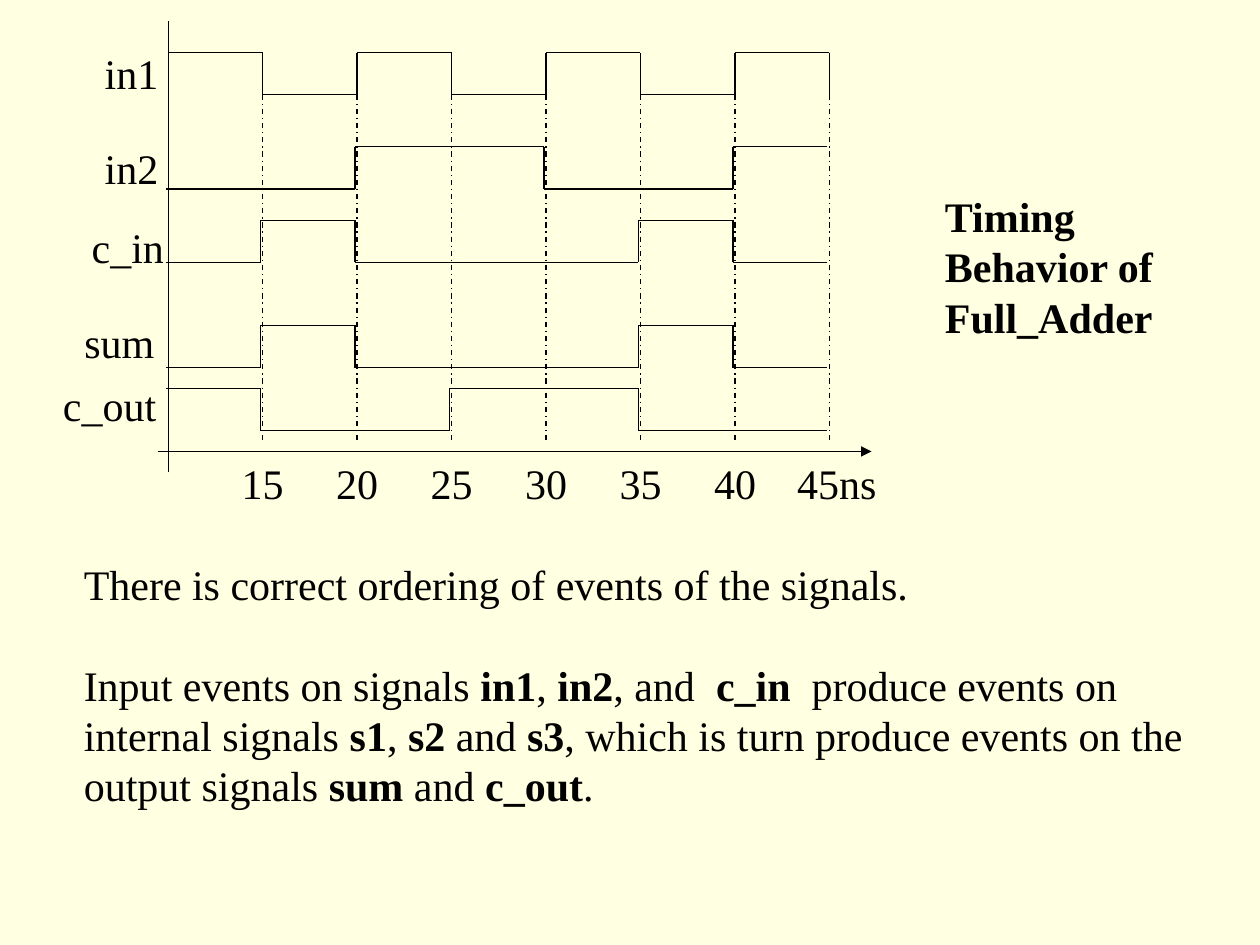
from itertools import groupby

from lxml import etree
from pptx import Presentation
from pptx.dml.color import RGBColor
from pptx.enum.dml import MSO_LINE
from pptx.enum.shapes import MSO_CONNECTOR
from pptx.enum.text import MSO_AUTO_SIZE
from pptx.oxml.ns import qn
from pptx.util import Cm, Pt

FONT = "Times New Roman"
INK = "000000"
PAPER = "FFFFE1"
LINE_PITCH = Pt(28.8)

# name, levels per period, top of the wave, label left, label top, label width,
# shift of the wave (all relative to the diagram box, in cm)
SIGNALS = [
    ("in1", "1010101", 0.64, -1.53, 0.42, 1.65, 0),
    ("in2", "0011001", 2.54, -1.53, 2.32, 1.65, -0.04),
    ("c_in", "0100010", 4.02, -1.79, 3.92, 2.03, -0.04),
    ("sum", "0100010", 6.14, -1.94, 5.83, 1.98, -0.04),
    ("c_out", "1001100", 7.41, -2.37, 7.1, 2.45, -0.04),
]
TICKS = ["15", "20", "25", "30", "35", "40", "45ns"]
WAVE_H = 0.85


def color(value):
    return RGBColor.from_string(value)


def add_line(slide, x1, y1, x2, y2, dash=None, arrow=False):
    ln = slide.shapes.add_connector(
        MSO_CONNECTOR.STRAIGHT, Cm(x1), Cm(y1), Cm(x2), Cm(y2))
    ln.line.color.rgb = color(INK)
    ln.line.width = Pt(0.75)
    if dash:
        ln.line.dash_style = dash
    if arrow:
        etree.SubElement(ln.line._get_or_add_ln(), qn("a:tailEnd"), type="triangle")
    etree.SubElement(ln._element.spPr, qn("a:effectLst"))


def add_text(slide, x, y, w, h, lines, tabs=()):
    """Place lines of text; words between asterisks are bold."""
    tb = slide.shapes.add_textbox(Cm(x), Cm(y), Cm(w), Cm(h))
    tf = tb.text_frame
    tf.word_wrap = False
    tf.auto_size = MSO_AUTO_SIZE.SHAPE_TO_FIT_TEXT
    for i, line in enumerate(lines):
        p = tf.paragraphs[0] if i == 0 else tf.add_paragraph()
        p.line_spacing = LINE_PITCH
        if tabs:
            tab_list = etree.SubElement(p._p.get_or_add_pPr(), qn("a:tabLst"))
            for pos in tabs:
                etree.SubElement(tab_list, qn("a:tab"), pos=str(Cm(pos)), algn="l")
        for j, part in enumerate(line.split("*")):
            if part:
                r = p.add_run()
                r.text = part
                r.font.name = FONT
                r.font.size = Pt(24)
                r.font.bold = j % 2 == 1
                r.font.color.rgb = color(INK)
    return tf


def add_wave(slide, x, y, step, levels):
    """Draw flat stretches of equal level and the edges between them."""
    height = {"1": y, "0": y + WAVE_H}
    start = 0
    for level, group in groupby(levels):
        end = start + len(list(group))
        if start:
            add_line(slide, x + start * step, y, x + start * step, y + WAVE_H)
        add_line(slide, x + start * step, height[level], x + end * step, height[level])
        start = end


def add_timing_diagram(slide, x, y, w, h):
    step = w / len(TICKS)
    axis_y = y + h - 0.42
    # Axes
    add_line(slide, x, y + h, x, y)
    add_line(slide, x - 0.21, axis_y, x + w + 0.85, axis_y, arrow=True)
    # Time guides
    guide_y = y + SIGNALS[0][2] + WAVE_H
    for i in range(1, len(TICKS) + 1):
        add_line(slide, x + i * step, guide_y, x + i * step, axis_y - 0.21,
                 dash=MSO_LINE.DASH_DOT)
    # Signals and their names
    for name, levels, top, label_x, label_y, label_w, shift in SIGNALS:
        add_wave(slide, x + shift, y + top, step, levels)
        add_text(slide, x + label_x, y + label_y, label_w, 1.27, [name])
    # Closing edge of the first signal
    add_line(slide, x + w, guide_y - WAVE_H, x + w, guide_y)
    # Time labels: one tab per period, the wider last one set a little left
    tabs = [i * step for i in range(1, len(TICKS))]
    tabs[-1] -= 0.23
    add_text(slide, x + step - 0.67, axis_y, 13.31, 1.27, ["\t".join(TICKS)], tabs)


def add_title(slide, x, y, w, h):
    add_text(slide, x, y, w, h, ["*Timing*", "*Behavior of*", "*Full_Adder*"])


def add_explanation(slide, x, y, w, h):
    tf = add_text(slide, x, y, w, h, [
        "There is correct ordering of events of the signals.",
        "Input events on signals *in1*, *in2*, and  *c_in*  produce events on",
        "internal signals *s1*, *s2* and *s3*, which is turn produce events on the",
        "output signals *sum* and *c_out*.",
    ])
    tf.paragraphs[1].space_before = LINE_PITCH


def main():
    prs = Presentation()
    prs.slide_width, prs.slide_height = Cm(25.4), Cm(19.05)
    s = prs.slides.add_slide(prs.slide_layouts[6])
    s.background.fill.solid()
    s.background.fill.fore_color.rgb = color(PAPER)
    add_timing_diagram(s, 3.39, 0.42, 13.33, 9.1)
    add_title(s, 18.8, 3.71, 4.7, 3.3)
    add_explanation(s, 1.44, 11.13, 22.66, 5.33)
    prs.save("out.pptx")


if __name__ == "__main__":
    main()
